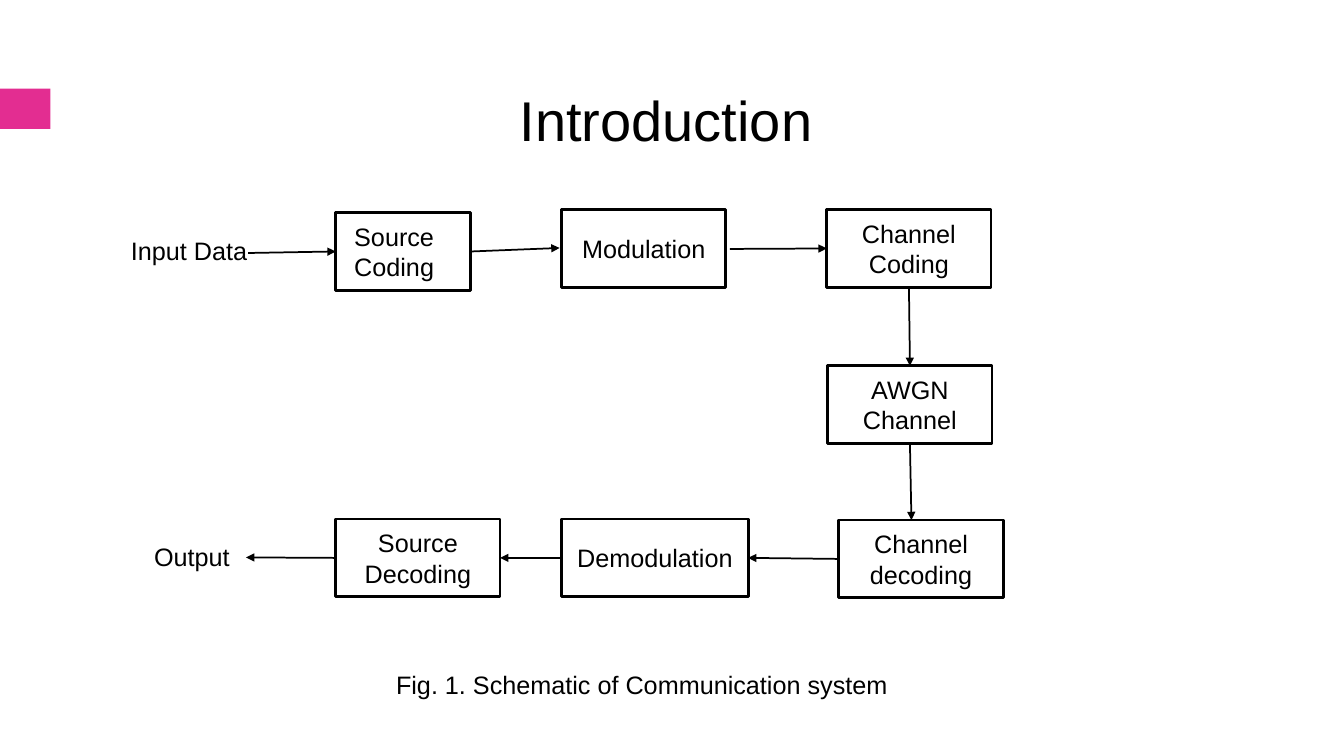
from dataclasses import dataclass, field
from typing import Any, NamedTuple

from lxml import etree
from pptx import Presentation, util as u
from pptx.dml.color import RGBColor
from pptx.enum import shapes as sh, text as tx
from pptx.oxml import ns

PX = 9144
HUES = {"ink": "000000", "paper": "FFFFFF", "accent": "E32D91"}
FACE = "Arial"
MID = {"vertical_anchor": tx.MSO_ANCHOR.MIDDLE, "word_wrap": True}
TOP = {
    "vertical_anchor": tx.MSO_ANCHOR.TOP,
    "word_wrap": True,
    "margin_left": 10 * PX,
    "margin_right": 10 * PX,
    "margin_top": 5 * PX,
    "margin_bottom": 5 * PX,
    "auto_size": tx.MSO_AUTO_SIZE.SHAPE_TO_FIT_TEXT,
}
LEFT, CENTER = tx.PP_ALIGN.LEFT, tx.PP_ALIGN.CENTER


class Area(NamedTuple):
    left: int
    top: int
    width: int
    height: int


class Point(NamedTuple):
    x: int
    y: int


class Joint(NamedTuple):
    box: str
    side: int


@dataclass
class Box:
    words: str
    area: Area
    frame: dict[str, Any] = field(default_factory=lambda: MID)
    align: Any = CENTER
    edge: bool = True


@dataclass
class Arrow:
    start: Point | Joint
    end: Point | Joint


BOXES = [
    Box("Output", Area(143, 532, 206, 40), TOP, LEFT, False),
    Box("Input Data", Area(120, 229, 180, 40), TOP, LEFT, False),
    Box("AWGN Channel", Area(821, 363, 163, 77)),
    Box("Source Coding", Area(333, 211, 134, 77), MID | {"margin_right": 28 * PX}),
    Box("Modulation", Area(557, 208, 163, 77)),
    Box("Channel Coding", Area(820, 208, 163, 77)),
    Box("Channel decoding", Area(832, 516, 163, 77)),
    Box("Demodulation", Area(557, 515, 185, 77)),
    Box("Source Decoding", Area(333, 515, 163, 77)),
]

ARROWS = [
    Arrow(Point(246, 251), Joint("Source Coding", 1)),
    Arrow(Joint("Source Coding", 3), Point(555, 246)),
    Arrow(Point(724, 247), Joint("Channel Coding", 1)),
    Arrow(Joint("Demodulation", 1), Joint("Source Decoding", 3)),
    Arrow(Joint("Channel decoding", 1), Joint("Demodulation", 3)),
    Arrow(Joint("Channel Coding", 2), Joint("AWGN Channel", 0)),
    Arrow(Joint("AWGN Channel", 2), Point(904, 516)),
    Arrow(Joint("Source Decoding", 1), Point(244, 553)),
]


def hue(name: str) -> RGBColor:
    return RGBColor.from_string(HUES[name])


def apply(target: Any, form: dict[str, Any]) -> None:
    for key, value in form.items():
        setattr(target, key, value)


def scale(area: Area) -> list[int]:
    return [side * PX for side in area]


def write(shape: Any, words: str, size: int, align: Any, frame: dict[str, Any]) -> None:
    apply(shape.text_frame, frame)
    para = shape.text_frame.paragraphs[0]
    para.alignment = align
    run = para.add_run()
    run.text = words
    apply(run.font, {"name": FACE, "size": u.Pt(size)})
    run.font.color.rgb = hue("ink")


def block(slide: Any, area: Area, fill: str, edge: bool) -> Any:
    shape = slide.shapes.add_shape(sh.MSO_SHAPE.RECTANGLE, *scale(area))
    shape.shadow.inherit = False
    shape.fill.solid()
    shape.fill.fore_color.rgb = hue(fill)
    if edge:
        shape.line.color.rgb = hue("ink")
        shape.line.width = u.Pt(2)
    else:
        shape.line.fill.background()
    return shape


def link(slide: Any, arrow: Arrow, made: dict[str, Any]) -> None:
    ends = [end if isinstance(end, Point) else Point(0, 0) for end in (arrow.start, arrow.end)]
    line = slide.shapes.add_connector(
        sh.MSO_CONNECTOR.STRAIGHT, *(side * PX for end in ends for side in end)
    )
    if isinstance(arrow.start, Joint):
        line.begin_connect(made[arrow.start.box], arrow.start.side)
    if isinstance(arrow.end, Joint):
        line.end_connect(made[arrow.end.box], arrow.end.side)
    line.line.color.rgb = hue("ink")
    line.line.width = u.Pt(1.25)
    etree.SubElement(line.line._get_or_add_ln(), ns.qn("a:tailEnd"), type="triangle")
    etree.SubElement(line._element.spPr, ns.qn("a:effectLst"))


def main() -> None:
    deck = Presentation()
    apply(deck, {"slide_width": 1333 * PX, "slide_height": 750 * PX})
    slide = deck.slides.add_slide(deck.slide_layouts[5])
    block(slide, Area(0, 88, 50, 40), "accent", False)

    title = slide.shapes.title
    apply(title, dict(zip(Area._fields, scale(Area(403, 80, 515, 77)))))
    write(title, "Introduction", 40, CENTER, TOP)

    note = slide.shapes.add_textbox(*scale(Area(383, 659, 567, 40)))
    write(note, "Fig. 1. Schematic of Communication system", 18, LEFT, TOP)

    made: dict[str, Any] = {}
    for box in BOXES:
        made[box.words] = block(slide, box.area, "paper", box.edge)
        write(made[box.words], box.words, 18, box.align, box.frame)
    for arrow in ARROWS:
        link(slide, arrow, made)
    deck.save("out.pptx")


if __name__ == "__main__":
    main()
